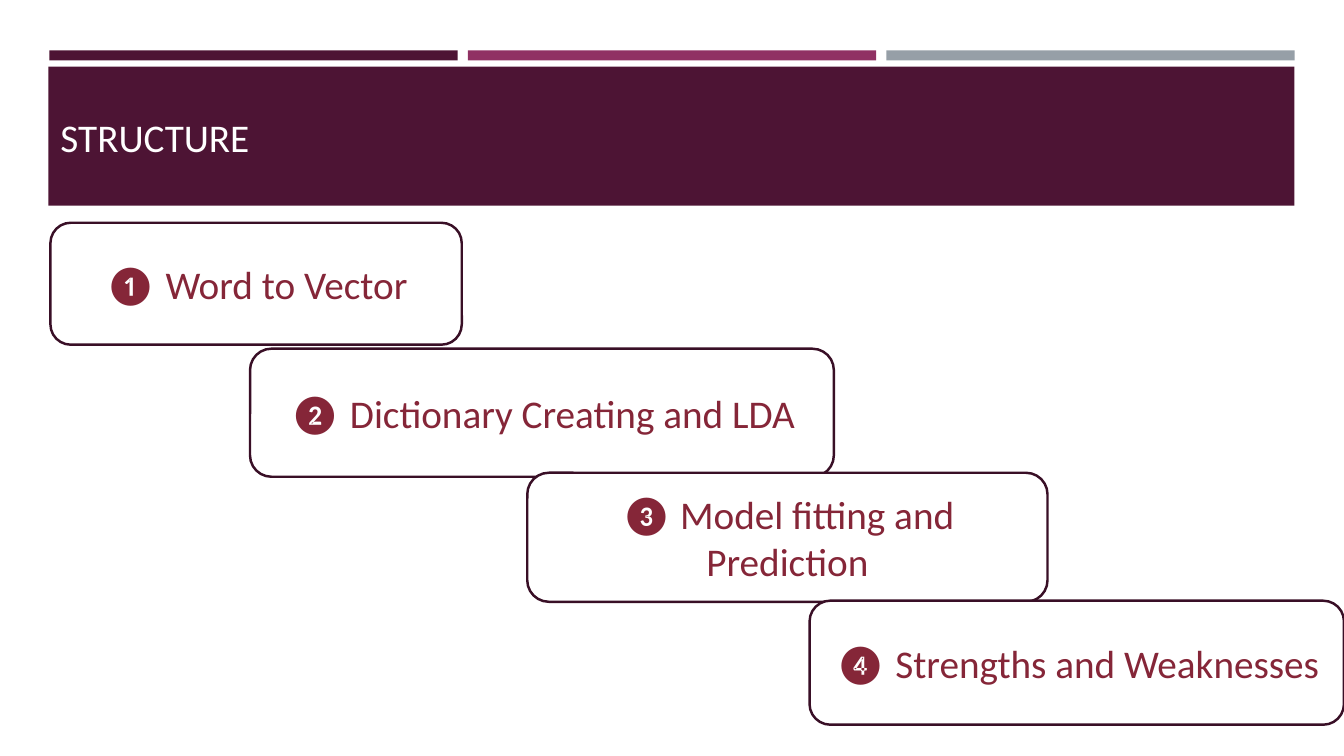
import pptx
import pptx.dml.color
import pptx.enum.shapes
import pptx.enum.text
import pptx.util

Inches = pptx.util.Inches
SHAPES = pptx.enum.shapes.MSO_SHAPE
ANCHOR = pptx.enum.text.MSO_ANCHOR
ALIGN = pptx.enum.text.PP_ALIGN

PLUM, WINE, WHITE = "4D1434", "852638", "FFFFFF"
BAR_COLOURS = [PLUM, "903163", "969FA7"]
BAR_LEFT, BAR_WIDTH, BAR_STEP = 0.49, 4.05, 4.15

# Each step: left, top, width, height and its runs of text with sizes
STEPS = [
    ((0.5, 2.21, 4.08, 1.21), [("❶ Word to Vector", 28)]),
    ((2.48, 3.46, 5.79, 1.27), [("❷ Dictionary Creating and LDA", 28)]),
    ((5.23, 4.69, 5.16, 1.28),
     [("❸", 28), (" ", 24), ("Model fitting and Prediction", 28)]),
    ((8.03, 5.96, 5.3, 1.23), [("❹ Strengths and Weaknesses", 28)]),
]


def colour(value):
    return pptx.dml.color.RGBColor.from_string(value)


def set_values(target, values):
    for name, value in values.items():
        setattr(target, name, value)


def add_box(page, kind, place, fill, line=None):
    box = page.shapes.add_shape(kind, *map(Inches, place))
    box.shadow.inherit = False
    box.fill.solid()
    box.fill.fore_color.rgb = colour(fill)
    if line:
        box.line.color.rgb = colour(line)
        box.line.width = pptx.util.Pt(1.75)
    else:
        box.line.fill.background()
    return box


def write_text(box, runs, text_colour, align, anchor):
    frame = box.text_frame
    set_values(frame, {
        "word_wrap": True,
        "auto_size": pptx.enum.text.MSO_AUTO_SIZE.NONE,
        "vertical_anchor": anchor,
    })
    para = frame.paragraphs[0]
    para.alignment = align
    for text, size in runs:
        span = para.add_run()
        span.text = text
        set_values(span.font, {"name": "Calibri", "size": pptx.util.Pt(size)})
        span.font.color.rgb = colour(text_colour)


def add_header(page):
    # Three accent bars above the title band
    for index, fill in enumerate(BAR_COLOURS):
        left = BAR_LEFT + index * BAR_STEP
        add_box(page, SHAPES.RECTANGLE, (left, 0.5, BAR_WIDTH, 0.1), fill)
    add_box(page, SHAPES.RECTANGLE, (0.48, 0.66, 12.36, 1.38), PLUM)

    # Title, brought in front of the band
    title = page.shapes.title
    set_values(title, {
        "left": Inches(0.5), "top": Inches(0.56),
        "width": Inches(12.06), "height": Inches(1.08),
    })
    write_text(title, [("STRUCTURE", 28)], WHITE, ALIGN.LEFT, ANCHOR.BOTTOM)
    title.element.getparent().append(title.element)


def add_step(page, place, runs):
    box = add_box(page, SHAPES.ROUNDED_RECTANGLE, place, WHITE, "390F26")
    write_text(box, runs, WINE, ALIGN.CENTER, ANCHOR.MIDDLE)


def main():
    deck = pptx.Presentation()
    set_values(deck, {"slide_width": Inches(13.33),
                      "slide_height": Inches(7.5)})
    page = deck.slides.add_slide(deck.slide_layouts.get_by_name("Title Only"))
    add_header(page)

    # Staircase of steps
    for place, runs in STEPS:
        add_step(page, place, runs)
    deck.save("out.pptx")


if __name__ == "__main__":
    main()
